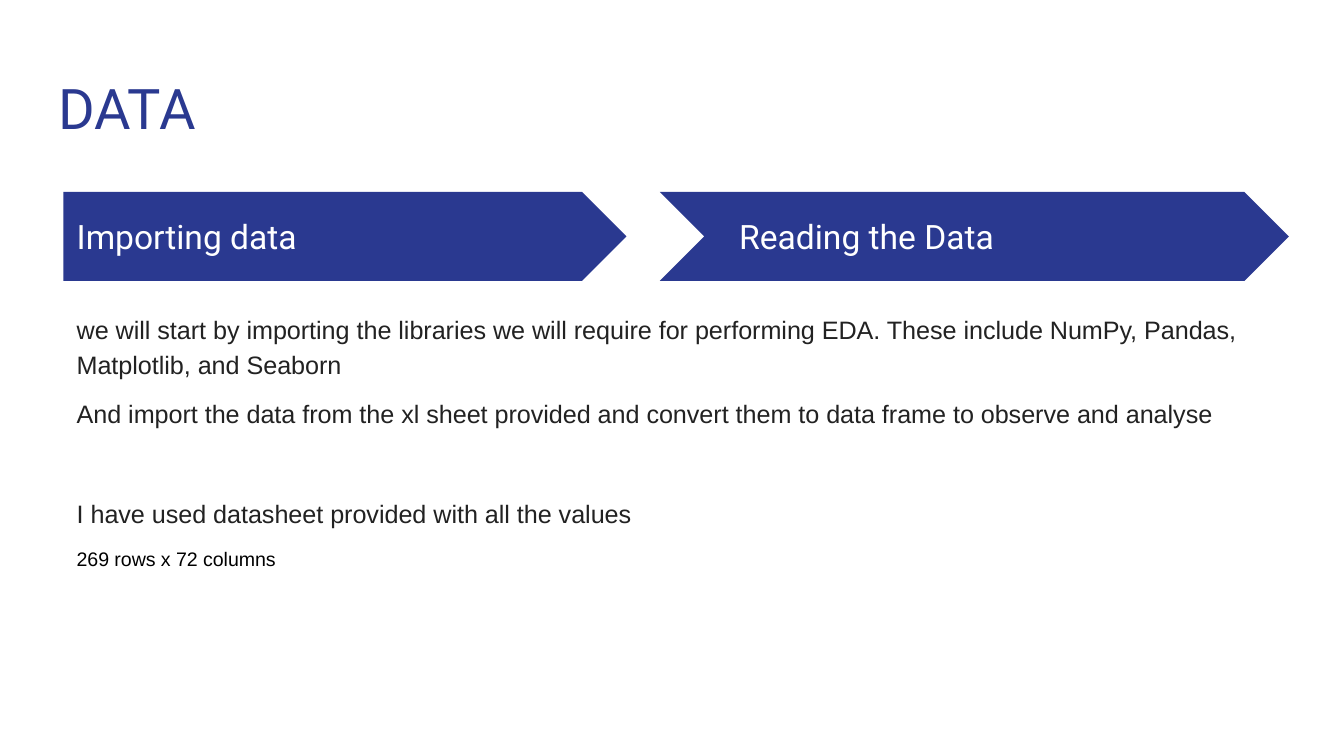
from dataclasses import dataclass

from pptx import Presentation
from pptx.dml.color import RGBColor
from pptx.enum import shapes, text
from pptx.util import Cm, Pt

COLORS = {"navy": "2A3990", "white": "FFFFFF", "ink": "222222", "black": "000000"}
INSET = Cm(0.25)
BANNER_TOP, BANNER_HEIGHT = 3.63, 1.68
LABEL_WIDTH, LABEL_HEIGHT = 9.73, 0.86


@dataclass
class Step:
    caption: str
    outline: shapes.MSO_SHAPE
    left: float
    width: float
    label_left: float


@dataclass
class Passage:
    wording: str
    size: float = 13.5
    color: str = "ink"
    space_before: float = 8


STEPS = [
    Step("Importing data", shapes.MSO_SHAPE.PENTAGON, 1.2, 10.64, 1.2),
    Step("Reading the Data", shapes.MSO_SHAPE.CHEVRON, 12.47, 11.89, 13.72),
]
PASSAGES = [
    Passage("we will start by importing the libraries we will require for performing EDA. "
            "These include NumPy, Pandas, Matplotlib, and Seaborn", space_before=0),
    Passage("And import the data from the xl sheet provided and convert them "
            "to data frame to observe and analyse"),
    Passage("I have used datasheet provided with all the values", space_before=34.5),
    Passage("269 rows x 72 columns", size=10.5, color="black"),
]


def rgb(name: str) -> RGBColor:
    return RGBColor.from_string(COLORS[name])


def set_frame(frame, anchor: text.MSO_ANCHOR) -> None:
    frame.word_wrap = True
    frame.auto_size = text.MSO_AUTO_SIZE.NONE
    frame.vertical_anchor = anchor
    frame.margin_left = frame.margin_right = INSET
    frame.margin_top = frame.margin_bottom = INSET


def add_run(paragraph, wording: str, font: str, size: float, color: str) -> None:
    paragraph.alignment = text.PP_ALIGN.LEFT
    run = paragraph.add_run()
    run.text = wording
    run.font.name = font
    run.font.size = Pt(size)
    run.font.color.rgb = rgb(color)


def place_title(slide, wording: str) -> None:
    title = slide.shapes.title
    title.left, title.top, title.width, title.height = Cm(0.86), Cm(1.14), Cm(23.67), Cm(1.68)
    set_frame(title.text_frame, text.MSO_ANCHOR.TOP)
    add_run(title.text_frame.paragraphs[0], wording, "Roboto", 30, "navy")


def draw_step(slide, step: Step) -> None:
    banner = slide.shapes.add_shape(
        step.outline, Cm(step.left), Cm(BANNER_TOP), Cm(step.width), Cm(BANNER_HEIGHT))
    banner.adjustments[0] = 0.5
    banner.shadow.inherit = False
    banner.fill.solid()
    banner.fill.fore_color.rgb = rgb("navy")
    banner.line.fill.background()

    label_top = BANNER_TOP + (BANNER_HEIGHT - LABEL_HEIGHT) / 2
    label = slide.shapes.add_textbox(
        Cm(step.label_left), Cm(label_top), Cm(LABEL_WIDTH), Cm(LABEL_HEIGHT))
    set_frame(label.text_frame, text.MSO_ANCHOR.MIDDLE)
    add_run(label.text_frame.paragraphs[0], step.caption, "Roboto", 18, "white")


def draw_passages(slide, passages: list[Passage]) -> None:
    body = slide.shapes.add_textbox(Cm(1.2), Cm(5.61), Cm(22.53), Cm(7.37))
    frame = body.text_frame
    set_frame(frame, text.MSO_ANCHOR.TOP)
    for index, passage in enumerate(passages):
        paragraph = frame.add_paragraph() if index else frame.paragraphs[0]
        paragraph.line_spacing = 1.15
        paragraph.space_before = Pt(passage.space_before)
        add_run(paragraph, passage.wording, "Arial", passage.size, passage.color)


def main() -> None:
    deck = Presentation()
    deck.slide_width, deck.slide_height = Cm(25.4), Cm(14.29)
    slide = deck.slides.add_slide(deck.slide_layouts.get_by_name("Title Only"))
    place_title(slide, "DATA")
    for step in STEPS:
        draw_step(slide, step)
    draw_passages(slide, PASSAGES)
    deck.save("out.pptx")


if __name__ == "__main__":
    main()
